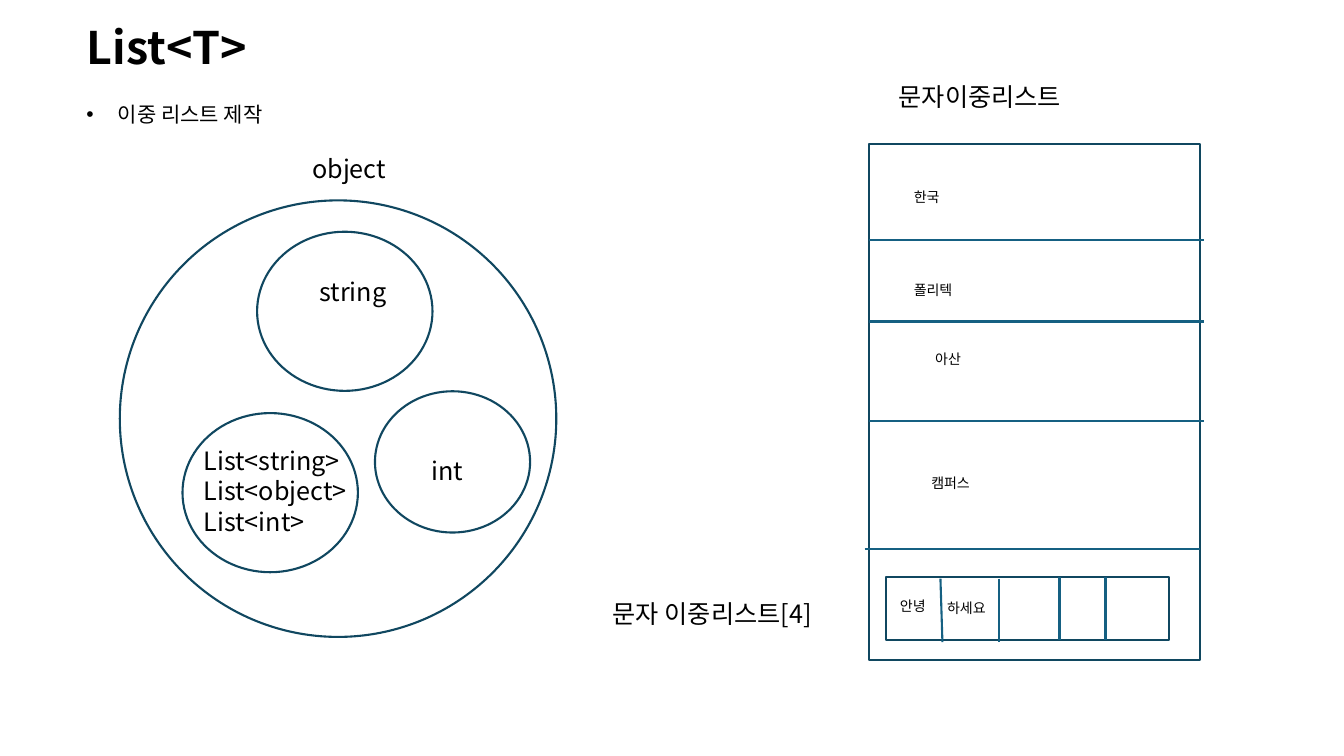
"""Build the List<T> slide on nested lists."""
from lxml import etree
from pptx import Presentation
from pptx.dml.color import RGBColor
from pptx.enum.shapes import MSO_CONNECTOR, MSO_SHAPE
from pptx.enum.text import MSO_ANCHOR, MSO_AUTO_SIZE, PP_ALIGN
from pptx.oxml.ns import qn
from pptx.util import Cm, Pt

BLACK = RGBColor(0x00, 0x00, 0x00)
WHITE = RGBColor(0xFF, 0xFF, 0xFF)
OUTLINE = RGBColor(0x10, 0x47, 0x60)
DIVIDER = RGBColor(0x15, 0x60, 0x82)
FONT = "Noto Sans CJK KR"
STRAIGHT = MSO_CONNECTOR.STRAIGHT
RECT, OVAL = MSO_SHAPE.RECTANGLE, MSO_SHAPE.OVAL
LEFT, MIDDLE, TOP = PP_ALIGN.LEFT, MSO_ANCHOR.MIDDLE, MSO_ANCHOR.TOP
NO_FIT = MSO_AUTO_SIZE.NONE


def write(sp, text, size=18, bold=False, bullet=None, anchor=TOP, after=0):
    tf = sp.text_frame
    tf.text = text
    tf.word_wrap = True
    tf.auto_size = NO_FIT
    tf.vertical_anchor = anchor
    for p in tf.paragraphs:
        p.alignment = LEFT
        p.space_after = Pt(after)
        if bullet:
            pPr = p._p.get_or_add_pPr()
            pPr.set("marL", str(Cm(0.79)))
            pPr.set("indent", str(-Cm(0.79)))
            etree.SubElement(pPr, qn("a:buFont")).set("typeface", "Arial")
            etree.SubElement(pPr, qn("a:buChar")).set("char", bullet)
        for r in p.runs:
            r.font.name = FONT
            r.font.size = Pt(size)
            r.font.bold = bold
            r.font.color.rgb = BLACK
            etree.SubElement(r._r.rPr, qn("a:ea")).set("typeface", FONT)


def outline(shapes, kind, *box):
    sp = shapes.add_shape(kind, *map(Cm, box))
    sp.shadow.inherit = False
    sp.fill.solid()
    sp.fill.fore_color.rgb = WHITE
    sp.line.color.rgb = OUTLINE
    sp.line.width = Pt(1.5)


prs = Presentation()
prs.slide_width, prs.slide_height = Cm(33.87), Cm(19.05)
s = prs.slides.add_slide(prs.slide_layouts[5])

title = s.shapes.title
title.left, title.top, title.width, title.height = map(Cm, (1.93, 0.36, 11.38, 1.63))
write(title, "List<T>", size=32, bold=True, anchor=MIDDLE)
subtitle = s.shapes.add_textbox(Cm(1.93), Cm(2.44), Cm(31.34), Cm(0.89))
write(subtitle, "이중 리스트 제작", size=15, bullet="•", after=20)

outer_list = s.shapes.add_group_shape().shapes
outline(outer_list, RECT, 21.89, 3.63, 8.36, 13)

for circle in [
    (3.02, 5.05, 11, 11),
    (6.48, 5.84, 4.42, 4.01),
    (4.6, 10.41, 4.42, 4.01),
    (9.45, 9.86, 3.91, 3.56),
]:
    outline(s.shapes, OVAL, *circle)

inner_list = s.shapes.add_group_shape().shapes
outline(inner_list, RECT, 22.33, 14.53, 7.14, 1.6)

for shapes, *ends in [
    (outer_list, 21.89, 6.05, 30.33, 6.05),
    (outer_list, 21.89, 8.1, 30.33, 8.1),
    (outer_list, 21.89, 10.62, 30.33, 10.62),
    (outer_list, 21.79, 13.84, 30.25, 13.84),
    (inner_list, 23.7, 14.58, 23.75, 16.18),
    (inner_list, 25.17, 14.58, 25.17, 16.18),
    (inner_list, 26.7, 14.55, 26.7, 16.13),
    (inner_list, 27.86, 14.55, 27.86, 16.13),
]:
    divider = shapes.add_connector(STRAIGHT, *map(Cm, ends))
    divider.line.color.rgb = DIVIDER
    divider.line.width = Pt(1.5)
    etree.SubElement(divider._element.spPr, qn("a:effectLst"))

for shapes, text, size, *box in [
    (s.shapes, "object", 18, 7.62, 3.73, 2.41, 1.02),
    (s.shapes, "string", 18, 7.8, 6.83, 2.64, 1.02),
    (s.shapes, "int", 18, 10.62, 11.35, 1.45, 1.02),
    (s.shapes, "List<string>\nList<object>\nList<int>", 18, 4.88, 11.1, 5.08, 3.33),
    (s.shapes, "문자이중리스트", 18, 22.4, 1.93, 6.58, 1.02),
    (s.shapes, "문자 이중리스트[4]", 18, 15.19, 14.94, 5.97, 1.02),
    (s.shapes, "한국", 10, 22.78, 4.62, 1.98, 0.69),
    (s.shapes, "폴리텍", 10, 22.78, 6.96, 1.98, 0.69),
    (s.shapes, "아산", 10, 23.32, 8.71, 1.98, 0.69),
    (s.shapes, "캠퍼스", 10, 23.22, 11.84, 1.98, 0.69),
    (inner_list, "안녕", 10, 22.43, 14.94, 1.45, 0.69),
    (inner_list, "하세요", 10, 23.62, 14.99, 1.98, 0.69),
]:
    write(shapes.add_textbox(*map(Cm, box)), text, size=size)

prs.save("out.pptx")
